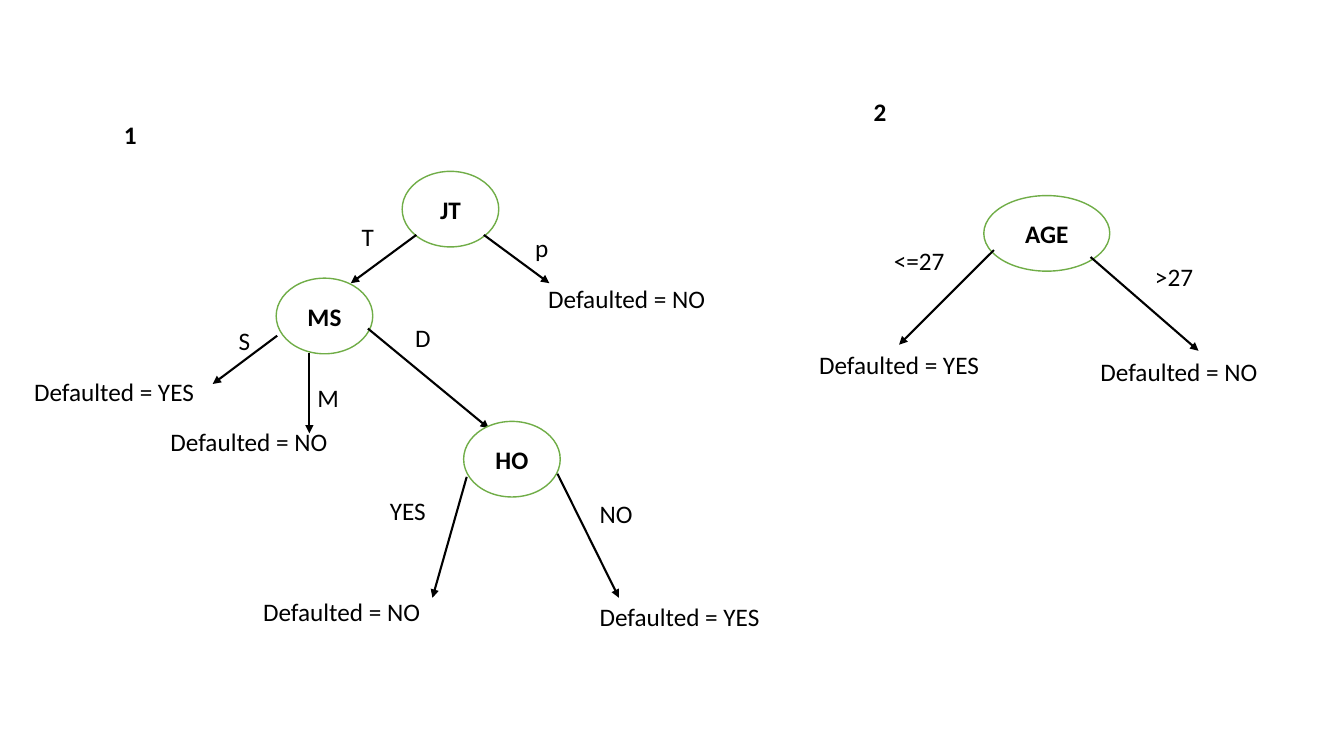
"""Draw two decision trees for loan default on one slide."""
from lxml import etree
from pptx import Presentation
from pptx.dml.color import RGBColor
from pptx.enum.shapes import MSO_CONNECTOR, MSO_SHAPE
from pptx.enum.text import MSO_ANCHOR, MSO_AUTO_SIZE, PP_ALIGN as ALIGN
from pptx.oxml.ns import qn
from pptx.util import Pt

FONT, SIZE = "Calibri", 18
BLACK, WHITE, GREEN = "000000", "FFFFFF", "70AD47"
NODE_HEIGHT, LABEL_HEIGHT = 54, 29
YES, NO = "Defaulted = YES", "Defaulted = NO"

# Each label: text, left, top, width and, where it wraps, its alignment.
HEADINGS = [("1", 81.4, 81.4, 24.5), ("2", 617, 65.5, 23.8)]

# Each node: name, left, top, width, branches.
# Each branch: arrow start, arrow end, labels.
NODES = [
    ("AGE", 702.7, 139.7, 90, [
        ((710, 178.6), (642.2, 246.2),
         [("<=27", 631.4, 171.4, 51), (YES, 554.4, 246.2, 175.7, ALIGN.CENTER)]),
        ((779, 183.6), (856.1, 250.6),
         [(">27", 817.9, 182.9, 41.8), (NO, 779, 250.6, 128.2)]),
    ]),
    ("JT", 287.3, 122.4, 69, [
        ((297.4, 167.8), (250.6, 202.3), [("T", 251.3, 154.8, 23)]),
        ((345.6, 167.8), (392.4, 202.3),
         [("p", 375.1, 162.7, 24.5), (NO, 384.5, 198.7, 128.2)]),
    ]),
    ("MS", 197.3, 198.7, 69, [
        ((198, 239.8), (151.9, 274.3),
         [("S", 163.4, 229, 23.8), (YES, 17.3, 265, 130.3)]),
        ((262.8, 234.7), (349.2, 306), [("D", 289.4, 226.8, 25.9)]),
        ((221, 252), (221, 309.6),
         [("M", 219.6, 269.3, 31), (NO, 90, 301, 175.7, ALIGN.CENTER)]),
    ]),
    ("HO", 331.2, 301, 69, [
        ((333.4, 340.6), (308.9, 427),
         [("YES", 271.4, 349.9, 40.3), (NO, 156.2, 422.6, 175.7, ALIGN.CENTER)]),
        ((398.2, 338.4), (442.1, 427),
         [("NO", 421.2, 352.1, 125.3, ALIGN.LEFT), (YES, 421.2, 426.2, 130.3)]),
    ]),
]


def paint(color_format, color):
    color_format.rgb = RGBColor.from_string(color)


def write(shape, text, bold, align):
    para = shape.text_frame.paragraphs[0]
    para.text = text
    para.alignment = align
    para.font.name, para.font.size, para.font.bold = FONT, Pt(SIZE), bold
    paint(para.font.color, BLACK)


def add_label(page, text, left, top, width, align=None, bold=False):
    box = page.shapes.add_textbox(Pt(left), Pt(top), Pt(width), Pt(LABEL_HEIGHT))
    box.text_frame.word_wrap = align is not None
    box.text_frame.auto_size = MSO_AUTO_SIZE.SHAPE_TO_FIT_TEXT
    write(box, text, bold, align)


def add_node(page, name, left, top, width):
    node = page.shapes.add_shape(MSO_SHAPE.FLOWCHART_CONNECTOR, Pt(left), Pt(top),
                                 Pt(width), Pt(NODE_HEIGHT))
    node.shadow.inherit = False
    node.fill.solid()
    paint(node.fill.fore_color, WHITE)
    paint(node.line.color, GREEN)
    node.line.width = Pt(1)
    node.text_frame.vertical_anchor = MSO_ANCHOR.MIDDLE
    write(node, name, True, ALIGN.CENTER)


def add_arrow(page, start, end):
    ends = [Pt(value) for value in start + end]
    arrow = page.shapes.add_connector(MSO_CONNECTOR.STRAIGHT, *ends)
    paint(arrow.line.color, BLACK)
    arrow.line.width = Pt(1.5)
    etree.SubElement(arrow.line._get_or_add_ln(), qn("a:tailEnd"), type="triangle")
    etree.SubElement(arrow._element.spPr, qn("a:effectLst"))


def main():
    deck = Presentation()
    deck.slide_width, deck.slide_height = Pt(960), Pt(540)
    page = deck.slides.add_slide(deck.slide_layouts[6])
    for name, left, top, width, branches in NODES:
        add_node(page, name, left, top, width)
        for start, end, labels in branches:
            add_arrow(page, start, end)
            for label in labels:
                add_label(page, *label)
    for heading in HEADINGS:
        add_label(page, *heading, bold=True)
    deck.save("out.pptx")


if __name__ == "__main__":
    main()
